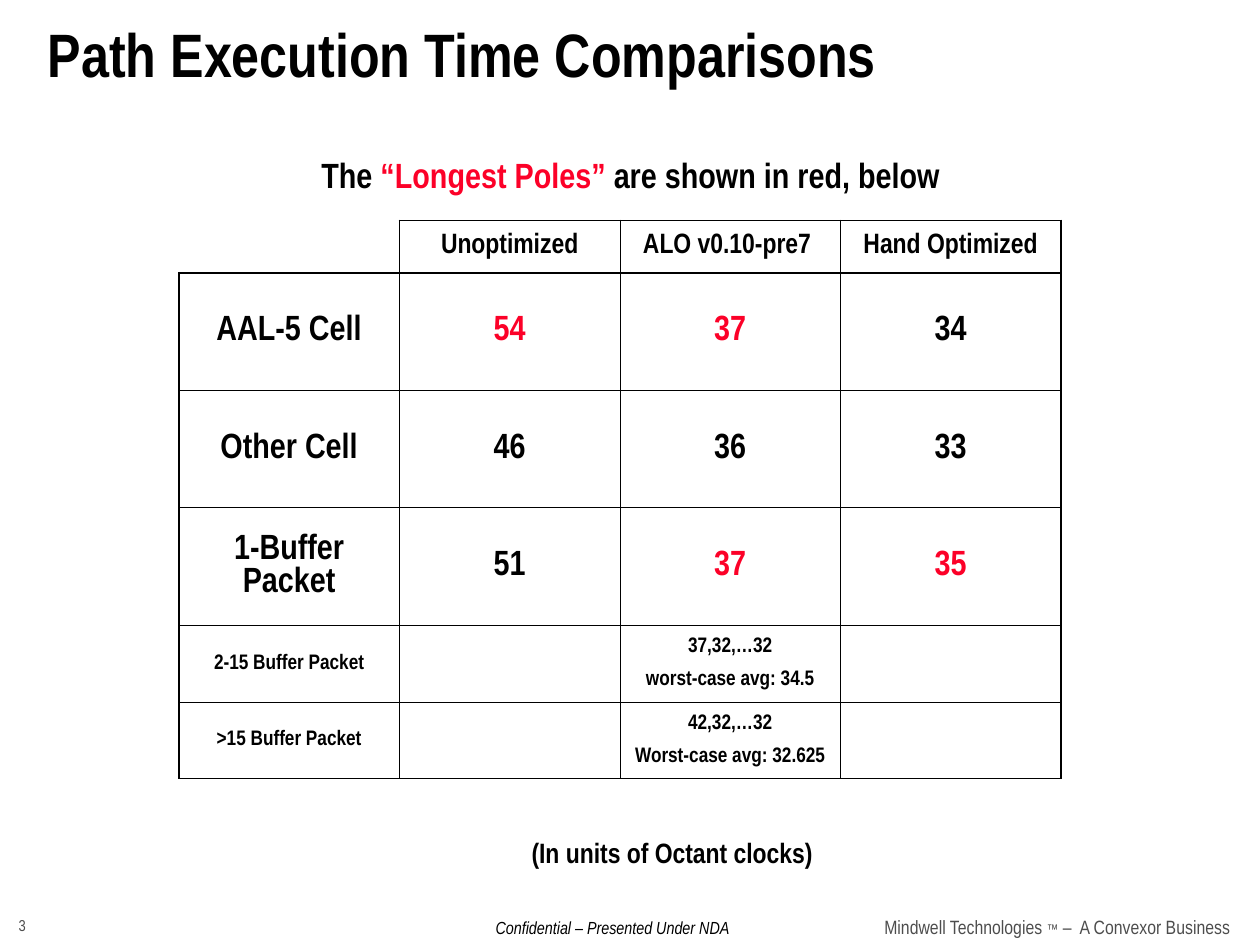
from lxml import etree
from pptx import Presentation
from pptx import util as u
from pptx.dml import color
from pptx.enum import text
from pptx.oxml import ns

COLORS = {"black": "000000", "red": "FC0128", "gray": "4D4D4D"}
FONT = "Arial Narrow"
COLUMNS, ROWS = 100, 75
THICK, THIN = 1.08, 0.45

HEADERS = ["", "Unoptimized", "ALO v0.10-pre7 ", "Hand Optimized"]
TIMES = [
    ["AAL-5 Cell", "54", "37", "34"],
    ["Other Cell", "46", "36", "33"],
    ["1-Buffer Packet", "51", "37", "35"],
]
AVERAGES = [
    ["2-15 Buffer Packet", "", "37,32,…32\nworst-case avg: 34.5", ""],
    [">15 Buffer Packet", "", "42,32,…32\nWorst-case avg: 32.625", ""],
]
LONGEST_POLES = {(1, 1), (1, 2), (3, 2), (3, 3)}


class SlideBuilder:
    """Draws styled elements on one slide, measured in grid columns and rows."""

    def __init__(self, deck):
        self.deck = deck
        self.slide = deck.slides.add_slide(deck.slide_layouts[5])

    def across(self, columns):
        return round(self.deck.slide_width * columns / COLUMNS)

    def down(self, rows):
        return round(self.deck.slide_height * rows / ROWS)

    def frame(self, left, top, width, height):
        return self.across(left), self.down(top), self.across(width), self.down(height)

    def style(self, span, size, shade="black", bold=True, italic=False, font=FONT):
        span.font.name = font
        span.font.size = u.Pt(size)
        span.font.bold = bold
        span.font.italic = italic
        span.font.color.rgb = color.RGBColor.from_string(COLORS[shade])

    def title(self, wording, area, size):
        box = self.slide.shapes.title
        box.left, box.top, box.width, box.height = self.frame(*area)
        box.text_frame.text = wording
        box.text_frame.auto_size = text.MSO_AUTO_SIZE.NONE
        box.text_frame.vertical_anchor = text.MSO_ANCHOR.MIDDLE
        para = box.text_frame.paragraphs[0]
        para.alignment = text.PP_ALIGN.LEFT
        para.line_spacing = 0.8
        self.style(para.runs[0], size)

    def text(self, spans, area, align=text.PP_ALIGN.CENTER, anchor=text.MSO_ANCHOR.TOP,
             before=0):
        box = self.slide.shapes.add_textbox(*self.frame(*area))
        box.text_frame.word_wrap = True
        box.text_frame.auto_size = text.MSO_AUTO_SIZE.SHAPE_TO_FIT_TEXT
        box.text_frame.vertical_anchor = anchor
        para = box.text_frame.paragraphs[0]
        para.alignment = align
        para.space_before = u.Pt(before)
        for wording, style in spans:
            span = para.add_run()
            span.text = wording
            self.style(span, **style)

    def border(self, cell, side, width):
        line = etree.SubElement(cell._tc.get_or_add_tcPr(), ns.qn(f"a:ln{side}"))
        if not width:
            etree.SubElement(line, ns.qn("a:noFill"))
            return
        line.set("w", str(u.Pt(width)))
        fill = etree.SubElement(line, ns.qn("a:solidFill"))
        etree.SubElement(fill, ns.qn("a:srgbClr"), val=COLORS["black"])

    def cell(self, cell, wording, size, shade):
        cell.margin_left = cell.margin_right = u.Inches(0.1)
        cell.margin_top = cell.margin_bottom = u.Inches(0.05)
        cell.vertical_anchor = text.MSO_ANCHOR.MIDDLE
        cell.text_frame.text = wording
        for para in cell.text_frame.paragraphs:
            para.alignment = text.PP_ALIGN.CENTER
            para.space_after = u.Pt(size * 0.625)
            for span in para.runs:
                self.style(span, size, shade)

    def table(self, content, area, heights, sizes, red_cells):
        rows, columns = len(content), len(content[0])
        table = self.slide.shapes.add_table(rows, columns, *self.frame(*area)).table
        table.first_row = table.horz_banding = False
        for r, line in enumerate(content):
            table.rows[r].height = self.down(heights[r])
            for c, wording in enumerate(line):
                cell = table.cell(r, c)
                self.cell(cell, wording, sizes[r], "red" if (r, c) in red_cells else "black")
                edges = [("L", c, columns), ("R", c + 1, columns),
                         ("T", r, rows), ("B", r + 1, rows)]
                for side, edge, last in edges:
                    width = THICK if edge in (0, 1, last) else THIN
                    corner = r == c == 0 and edge == 0
                    self.border(cell, side, 0 if corner else width)
                cell.fill.background()


def main():
    deck = Presentation()
    deck.slide_width, deck.slide_height = u.Inches(10), u.Inches(7.5)
    page = SlideBuilder(deck)
    left, middle = text.PP_ALIGN.LEFT, text.MSO_ANCHOR.MIDDLE
    footer = {"size": 11, "shade": "gray", "bold": False}

    page.text([("3", {**footer, "size": 9})], (0.5, 72.2, 6.6, 2.5), left, middle, before=5.6)
    page.text([("Mindwell Technologies ", footer), ("™", {**footer, "size": 8}),
               (" ", {**footer, "font": "Calibri"}), ("–  A Convexor Business", footer)],
              (69.2, 72.1, 30.8, 2.9), left, middle)
    page.text([("Confidential – Presented Under NDA",
                {"size": 10, "bold": False, "italic": True})], (36, 72.3, 25.2, 2.7))

    page.title("Path Execution Time Comparisons", (2.8, 1.4, 73.1, 6.7), 35)
    page.table([HEADERS] + TIMES + AVERAGES, (14.2, 17.5, 70, 44.3),
               [4.15] + [9.33] * 3 + [6.08] * 2, [16] + [20] * 3 + [12] * 2, LONGEST_POLES)
    page.text([("(In units of Octant clocks)", {"size": 16})],
              (29.2, 65.8, 48.3, 3.7), before=10)
    page.text([("The ", {"size": 20}), ("“Longest Poles”", {"size": 20, "shade": "red"}),
               (" are shown in red, below", {"size": 20})], (14.2, 11.7, 71.7, 4.4))
    deck.save("out.pptx")


if __name__ == "__main__":
    main()
